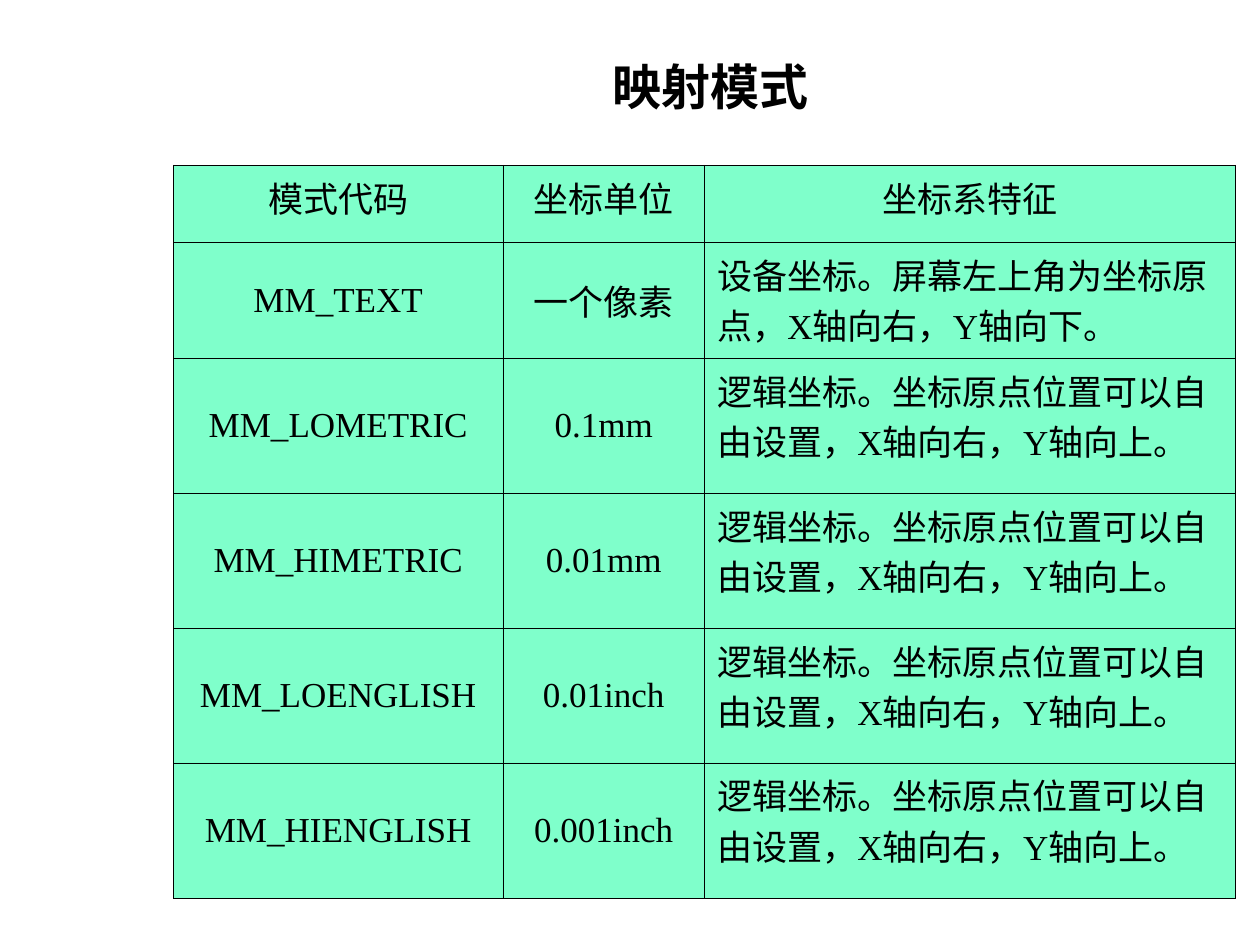
from lxml import etree
from pptx import Presentation
from pptx.dml.color import RGBColor
from pptx.enum import text
from pptx.oxml import ns
from pptx.util import Cm, Pt

BLACK = RGBColor(0x00, 0x00, 0x00)
MINT = RGBColor(0x00, 0xFF, 0x99)

UP = "逻辑坐标。坐标原点位置可以自由设置，X轴向右，Y轴向上。"
MODES = [
    ("模式代码", "坐标单位", "坐标系特征"),
    ("MM_TEXT", "一个像素", "设备坐标。屏幕左上角为坐标原点，X轴向右，Y轴向下。"),
    ("MM_LOMETRIC", "0.1mm", UP),
    ("MM_HIMETRIC", "0.01mm", UP),
    ("MM_LOENGLISH", "0.01inch", UP),
    ("MM_HIENGLISH", "0.001inch", UP),
]
COL_SHARES = (0.31, 0.19, 0.5)
ROW_HEIGHTS = (1.55, 2.34, 2.72, 2.72, 2.72, 2.72)


def add_run(p, words, font, size, bold=False):
    r = p.add_run()
    r.text = words
    r.font.name, r.font.size, r.font.bold = font, Pt(size), bold
    r.font.color.rgb = BLACK


def style_cell(cell):
    """Half-transparent mint fill with thin black borders."""
    tcPr = cell._tc.get_or_add_tcPr()
    for side in ("lnL", "lnR", "lnT", "lnB"):
        ln = etree.SubElement(tcPr, ns.qn("a:" + side), w=str(Pt(0.45)))
        fill = etree.SubElement(ln, ns.qn("a:solidFill"))
        etree.SubElement(fill, ns.qn("a:srgbClr"), val=str(BLACK))
    cell.fill.solid()
    cell.fill.fore_color.rgb = MINT
    color = tcPr.find(ns.qn("a:solidFill")).find(ns.qn("a:srgbClr"))
    etree.SubElement(color, ns.qn("a:alpha"), val="50000")


def add_title(s, left, top, width, height):
    tf = s.shapes.add_textbox(Cm(left), Cm(top), Cm(width), Cm(height)).text_frame
    tf.word_wrap = True
    tf.vertical_anchor = text.MSO_ANCHOR.MIDDLE
    p = tf.paragraphs[0]
    p.alignment = text.PP_ALIGN.CENTER
    add_run(p, "映射模式", "Roboto", 28, bold=True)


def add_mode_table(s, left, top, width):
    table = s.shapes.add_table(len(MODES), len(COL_SHARES), Cm(left), Cm(top),
                               Cm(width), Cm(sum(ROW_HEIGHTS))).table
    table.first_row = table.horz_banding = False
    for col, share in zip(table.columns, COL_SHARES):
        col.width = Cm(width * share)
    for i, (row, height) in enumerate(zip(table.rows, ROW_HEIGHTS)):
        row.height = Cm(height)
        for j, words in enumerate(MODES[i]):
            cell = table.cell(i, j)
            style_cell(cell)
            is_feature = i > 0 and j == 2
            # Header and feature texts sit at the top, the rest mid-height
            middle = i > 0 and not is_feature
            cell.vertical_anchor = text.MSO_ANCHOR.MIDDLE if middle else text.MSO_ANCHOR.TOP
            p = cell.text_frame.paragraphs[0]
            p.alignment = text.PP_ALIGN.LEFT if is_feature else text.PP_ALIGN.CENTER
            add_run(p, words, "Times New Roman", 20)


def main():
    prs = Presentation()
    prs.slide_width, prs.slide_height = Cm(25.4), Cm(19.05)
    s = prs.slides.add_slide(prs.slide_layouts[6])
    add_title(s, 4.5, 0.76, 19.63, 1.96)
    add_mode_table(s, 3.5, 3.33, 21.41)
    prs.save("out.pptx")


if __name__ == "__main__":
    main()
